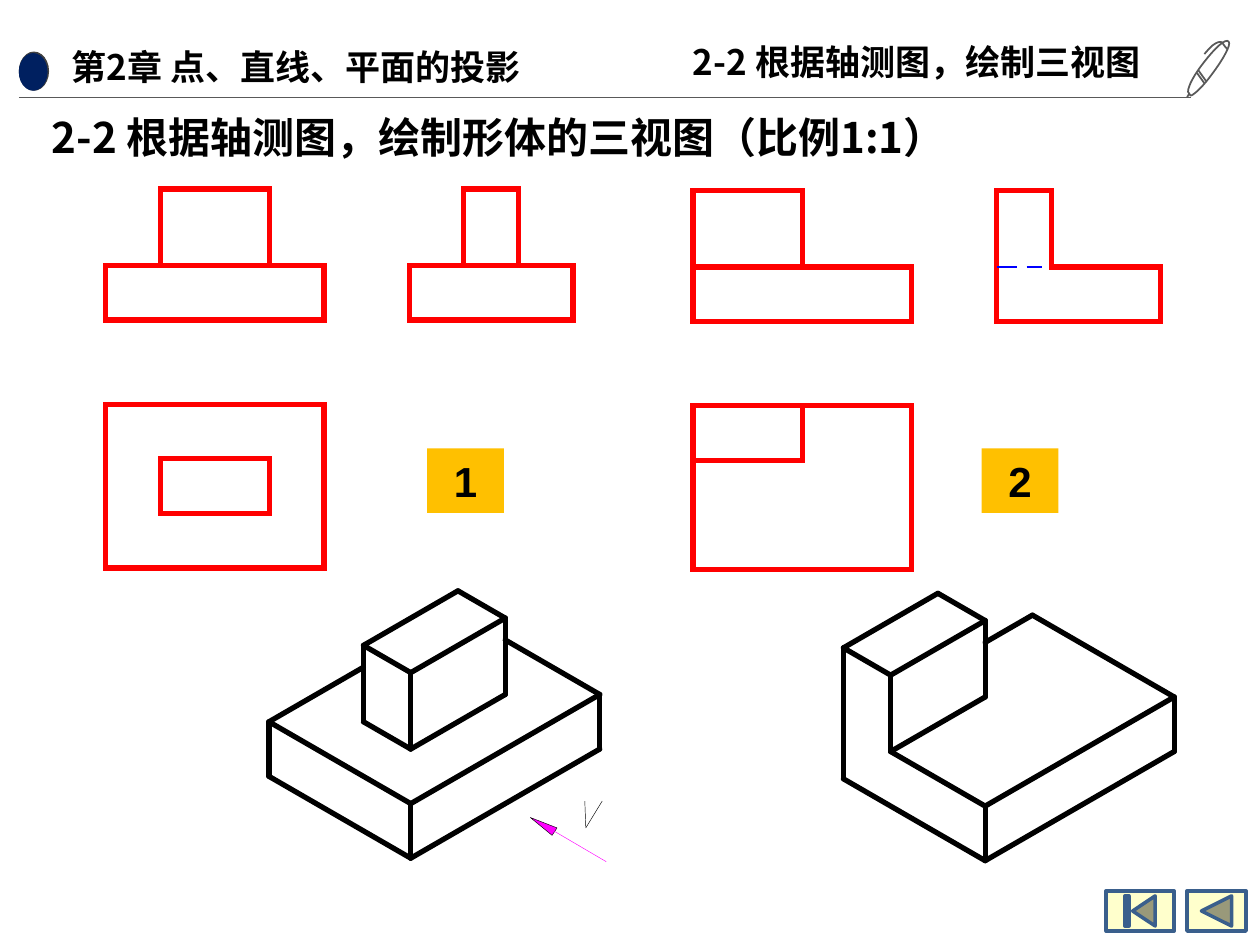
from math import cos, radians, sin
from lxml import etree
from pptx import Presentation
from pptx.dml.color import RGBColor
from pptx.enum.shapes import MSO_CONNECTOR, MSO_SHAPE
from pptx.enum.text import MSO_ANCHOR, PP_ALIGN
from pptx.oxml.ns import qn
from pptx.util import Cm, Pt

STRAIGHT = MSO_CONNECTOR.STRAIGHT
OVAL, RECT = MSO_SHAPE.OVAL, MSO_SHAPE.RECTANGLE
FIRST, BACK = MSO_SHAPE.ACTION_BUTTON_BEGINNING, MSO_SHAPE.ACTION_BUTTON_BACK_OR_PREVIOUS
TOP, MIDDLE = MSO_ANCHOR.TOP, MSO_ANCHOR.MIDDLE
LEFT, CENTER = PP_ALIGN.LEFT, PP_ALIGN.CENTER

COLORS = {"black": "000000", "red": "FF0000", "blue": "0000FF", "magenta": "FF00FF",
          "navy": "002060", "gray": "595959", "dark": "404040", "amber": "FFC000",
          "cream": "FFFFCC", "steel": "3A5F8C"}
CJK, ARIAL = "Noto Sans CJK SC", "Arial"

TITLE = ("2-2 根据轴测图，绘制形体的三视图（比例1:1）", (0.79, 2.13, 19.3, 1.3), 24)
HEADERS = [
    ("第2章 点、直线、平面的投影", (1.19, 0.79, 10.34, 1.04), 20),
    ("2-2 根据轴测图，绘制三视图", (13.72, 0.69, 10.31, 1.12), 20),
]
SHAPES = [
    (OVAL, (0.38, 1.04, 0.61, 0.79), "dark", None),
    (OVAL, (0.38, 1.07, 0.58, 0.76), "navy", None),
    (FIRST, (22.3, 17.96, 1.37, 0.81), "cream", "steel"),
    (BACK, (23.93, 17.96, 1.19, 0.81), "cream", "steel"),
]

UNIT = 1.1
SIDE_DX, TOP_DY = 6.12, 5
BASE_FRONT = [(0, 0), (4, 0), (4, 1), (0, 1), (0, 0)]
BASE_TOP = [(0, 0), (4, 0), (4, 3), (0, 3), (0, 0)]
BASE_EDGES = [
    [(0, 3, 1), (0, 3, 0), (0, 0, 0), (4, 0, 0), (4, 0, 1), (0, 0, 1), (0, 0, 0)],
]
SOLIDS = [
    {
        "number": "1", "badge": (8.61, 9.04), "views": (2.13, 6.45), "iso": (8.28, 17.3),
        "front": [BASE_FRONT, [(1, 1), (1, 2.4), (3, 2.4), (3, 1)]],
        "side": [[(0, 0), (3, 0), (3, 1), (0, 1), (0, 0)],
                 [(1, 1), (1, 2.4), (2, 2.4), (2, 1)]],
        "top": [BASE_TOP, [(1, 1), (3, 1), (3, 2), (1, 2), (1, 1)]],
        "block": (1, 3, 1, 2),
        "edges": BASE_EDGES + [
            [(0, 0, 1), (0, 3, 1), (2, 3, 1)],
            [(4, 0, 1), (4, 2, 1)],
            [(1, 1, 1), (1, 2, 1)],
        ],
        "dashes": [],
    },
    {
        "number": "2", "badge": (19.79, 9.04), "views": (13.97, 6.48), "iso": (19.86, 17.35),
        "front": [BASE_FRONT, [(0, 1), (0, 2.4), (2, 2.4), (2, 1)]],
        "side": [[(0, 0), (3, 0), (3, 1), (1, 1), (1, 2.4), (0, 2.4), (0, 0)]],
        "top": [BASE_TOP, [(0, 2), (2, 2), (2, 3)]],
        "block": (0, 2, 2, 3),
        "edges": BASE_EDGES + [
            [(0, 0, 1), (0, 2, 1)],
            [(4, 0, 1), (4, 3, 1), (3, 3, 1)],
        ],
        "dashes": [[(0, 1), (0.37, 1)], [(0.55, 1), (0.83, 1)]],
    },
]

PEN = [
    [(24.28, 1.68), (24.13, 1.47)],
    [(24.16, 1.42), (24.31, 1.63)],
    [(24.77, 0.84), (24.71, 0.76), (24.49, 0.97), (24.26, 1.27),
     (24.08, 1.5), (23.95, 1.73), (23.95, 1.85),
     (24, 1.93), (24, 1.93), (24, 1.93),
     (24.08, 1.91), (24.26, 1.73), (24.43, 1.5),
     (24.66, 1.19), (24.82, 0.91), (24.77, 0.84)],
    [(23.98, 1.88), (23.93, 1.96)],
    [(24.74, 0.99), (24.74, 0.99), (24.69, 0.94), (24.64, 0.86),
     (24.64, 0.86), (24.54, 0.76), (24.28, 1.09)],
]
ARROW_HEAD = [(11.23, 16.69), (11.13, 16.84), (10.69, 16.48), (11.23, 16.69)]
ARROW_SHAFT = [(12.22, 17.37), (11.18, 16.76)]
LETTER_V = [(11.79, 16.15), (11.81, 16.69), (12.14, 16.15)]


def rgb(name):
    return RGBColor.from_string(COLORS[name])


def style(sp, fill, line, width):
    sp.shadow.inherit = False
    if fill:
        sp.fill.solid()
        sp.fill.fore_color.rgb = rgb(fill)
    else:
        sp.fill.background()
    if line:
        sp.line.color.rgb = rgb(line)
        sp.line.width = Pt(width)
    else:
        sp.line.fill.background()


def write(sp, text, size, font, align, anchor):
    tf = sp.text_frame
    tf.word_wrap = True
    tf.vertical_anchor = anchor
    tf.text = text
    p = tf.paragraphs[0]
    p.alignment = align
    r = p.runs[0]
    r.font.name, r.font.size, r.font.bold = font, Pt(size), True
    r.font.color.rgb = rgb("black")
    etree.SubElement(r.font._element, qn("a:ea"), typeface=font)


def add_shape(s, kind, box, fill, line, width=2):
    sp = s.shapes.add_shape(kind, *map(Cm, box))
    style(sp, fill, line, width)
    return sp


def add_edges(s, points, color, width, cap="flat"):
    for start, end in zip(points, points[1:]):
        c = s.shapes.add_connector(STRAIGHT, *map(Cm, start + end))
        c.line.color.rgb = rgb(color)
        c.line.width = Pt(width)
        spPr = c._element.spPr
        spPr.find(qn("a:ln")).set("cap", cap)
        etree.SubElement(spPr, qn("a:effectLst"))


def add_outline(s, strokes, fill, line, width):
    fb = None
    for stroke in strokes:
        start, *rest = [(Cm(x), Cm(y)) for x, y in stroke]
        if fb is None:
            fb = s.shapes.build_freeform(*start)
        else:
            fb.move_to(*start)
        fb.add_line_segments(rest, close=stroke[0] == stroke[-1])
    style(fb.convert_to_shape(), fill, line, width)


def flatten(curve, steps=8):
    if len(curve) == 2:
        return curve
    points = [curve[0]]
    for i in range(0, len(curve) - 1, 3):
        for t in (k / steps for k in range(1, steps + 1)):
            weights = ((1 - t) ** 3, 3 * t * (1 - t) ** 2, 3 * t * t * (1 - t), t ** 3)
            points.append(tuple(sum(w * q[a] for w, q in zip(weights, curve[i:i + 4]))
                                for a in (0, 1)))
    points[-1] = curve[-1]
    return points


def flat(origin, points):
    return [(origin[0] + UNIT * x, origin[1] - UNIT * y) for x, y in points]


def isometric(origin, points):
    c, k = cos(radians(30)), sin(radians(30))
    return flat(origin, [((x - y) * c, (x + y) * k + z) for x, y, z in points])


def block_edges(x0, x1, y0, y1, low=1, high=2.4):
    return [
        [(x1, y0, low), (x0, y0, low), (x0, y0, high), (x1, y0, high), (x1, y0, low)],
        [(x0, y0, high), (x0, y1, high), (x1, y1, high), (x1, y0, high)],
        [(x0, y1, low), (x0, y1, high)],
    ]


def draw_solid(s, solid):
    for points in solid["edges"] + block_edges(*solid["block"]):
        add_edges(s, isometric(solid["iso"], points), "black", 3, "rnd")
    x, y = solid["views"]
    origins = {"front": (x, y), "side": (x + SIDE_DX, y), "top": (x, y + TOP_DY)}
    for view, origin in origins.items():
        for points in solid[view]:
            add_edges(s, flat(origin, points), "red", 3, "sq")
    for points in solid["dashes"]:
        add_edges(s, flat(origins["side"], points), "blue", 1.5)
    badge = add_shape(s, RECT, solid["badge"] + (1.55, 1.3), "amber", None)
    write(badge, solid["number"], 24, ARIAL, CENTER, MIDDLE)


def main():
    prs = Presentation()
    prs.slide_width, prs.slide_height = Cm(25.4), Cm(19.05)
    s = prs.slides.add_slide(prs.slide_layouts[5])
    text, box, size = TITLE
    title = s.shapes.title
    title.left, title.top, title.width, title.height = map(Cm, box)
    write(title, text, size, CJK, LEFT, TOP)
    for text, box, size in HEADERS:
        write(s.shapes.add_textbox(*map(Cm, box)), text, size, CJK, LEFT, TOP)
    for shape in SHAPES:
        add_shape(s, *shape)
    add_edges(s, [(0.38, 1.96), (24, 1.96)], "gray", 0.75)
    add_outline(s, [flatten(stroke) for stroke in PEN], None, "gray", 1)
    add_outline(s, [LETTER_V], None, "black", 0.25)
    add_outline(s, [ARROW_HEAD], "magenta", "black", 0.25)
    add_edges(s, ARROW_SHAFT, "magenta", 0.25)
    for solid in SOLIDS:
        draw_solid(s, solid)
    prs.save("out.pptx")


if __name__ == "__main__":
    main()
